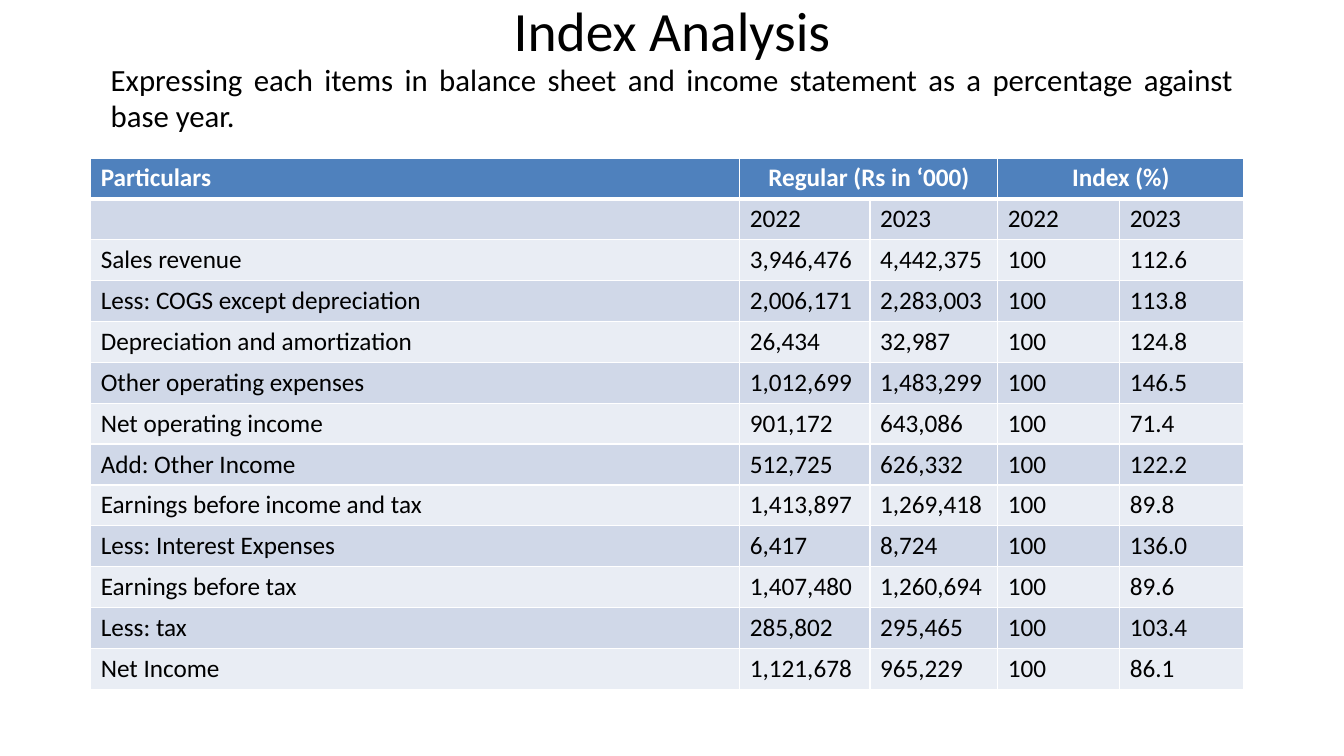
from dataclasses import dataclass
from lxml import etree
from pptx import Presentation
from pptx.dml.color import RGBColor
from pptx.enum.text import MSO_ANCHOR, PP_ALIGN
from pptx.oxml.ns import qn
from pptx.util import Pt

CENTER, JUSTIFY, LEFT = PP_ALIGN.CENTER, PP_ALIGN.JUSTIFY, PP_ALIGN.LEFT
MIDDLE, TOP = MSO_ANCHOR.MIDDLE, MSO_ANCHOR.TOP


@dataclass
class Theme:
    font: str = "Calibri"
    black: str = "000000"
    white: str = "FFFFFF"
    header: str = "4F81BD"
    bands: tuple = ("E9EDF4", "D0D8E8")
    title_size: float = 39.6
    subtitle_size: float = 22
    table_size: float = 18


theme = Theme()


def write(para, text, size, color, align, bold=False):
    para.alignment = align
    span = para.add_run()
    span.text = text
    span.font.color.rgb = RGBColor.from_string(color)
    formats = {"name": theme.font, "size": Pt(size), "bold": bold}
    for name, value in formats.items():
        setattr(span.font, name, value)


def style_cell(cell, fill, borders):
    cell.fill.solid()
    cell.fill.fore_color.rgb = RGBColor.from_string(fill)
    properties = cell._tc.get_or_add_tcPr()
    for position, (side, width) in enumerate(borders.items()):
        line = etree.Element(qn(f"a:ln{side}"), w=str(Pt(width)))
        paint = etree.SubElement(line, qn("a:solidFill"))
        etree.SubElement(paint, qn("a:srgbClr"), val=theme.white)
        properties.insert(position, line)


deck = Presentation()
deck.slide_width, deck.slide_height = Pt(960), Pt(540)
page = deck.slides.add_slide(deck.slide_layouts[6])

headings = [
    ("Index Analysis", 0, 41.8, theme.title_size, CENTER, MIDDLE, 1),
    ("Expressing each items in balance sheet and income statement as a percentage "
     "against base year.", 41.8, 470.2, theme.subtitle_size, JUSTIFY, TOP, 0.96),
]
for text, top, height, size, align, anchor, spacing in headings:
    box = page.shapes.add_textbox(Pt(72), Pt(top), Pt(816), Pt(height))
    frame = box.text_frame
    for name, value in {"word_wrap": True, "vertical_anchor": anchor}.items():
        setattr(frame, name, value)
    para = frame.paragraphs[0]
    para.line_spacing = spacing
    write(para, text, size, theme.black, align)

rows = [
    ("Particulars", "Regular (Rs in ‘000)", "", "Index (%)", ""),
    ("", "2022", "2023", "2022", "2023"),
    ("Sales revenue", "3,946,476", "4,442,375", "100", "112.6"),
    ("Less: COGS except depreciation", "2,006,171", "2,283,003", "100", "113.8"),
    ("Depreciation and amortization", "26,434", "32,987", "100", "124.8"),
    ("Other operating expenses", "1,012,699", "1,483,299", "100", "146.5"),
    ("Net operating income", "901,172", "643,086", "100", "71.4"),
    ("Add: Other Income", "512,725", "626,332", "100", "122.2"),
    ("Earnings before income and tax", "1,413,897", "1,269,418", "100", "89.8"),
    ("Less: Interest Expenses", "6,417", "8,724", "100", "136.0"),
    ("Earnings before tax", "1,407,480", "1,260,694", "100", "89.6"),
    ("Less: tax", "285,802", "295,465", "100", "103.4"),
    ("Net Income", "1,121,678", "965,229", "100", "86.1"),
]
column_widths = [463.7, 92.9, 91.4, 87.1, 88.6]
row_height = 29.2
table = page.shapes.add_table(
    len(rows), len(column_widths), Pt(64.8), Pt(112.8),
    Pt(sum(column_widths)), Pt(row_height * len(rows)),
).table
for column, width in zip(table.columns, column_widths):
    column.width = Pt(width)

for row_index, values in enumerate(rows):
    is_header = row_index == 0
    fill = theme.header if is_header else theme.bands[row_index % 2]
    color = theme.white if is_header else theme.black
    borders = {"L": 1, "R": 1, "T": 3 if row_index == 1 else 1, "B": 3 if is_header else 1}
    for column_index, text in enumerate(values):
        cell = table.cell(row_index, column_index)
        style_cell(cell, fill, borders)
        para = cell.text_frame.paragraphs[0]
        para.font.size = Pt(theme.table_size)
        if text:
            align = CENTER if is_header and column_index else LEFT
            write(para, text, theme.table_size, color, align, is_header)

for first in (1, 3):
    table.cell(0, first).merge(table.cell(0, first + 1))

deck.save("out.pptx")
